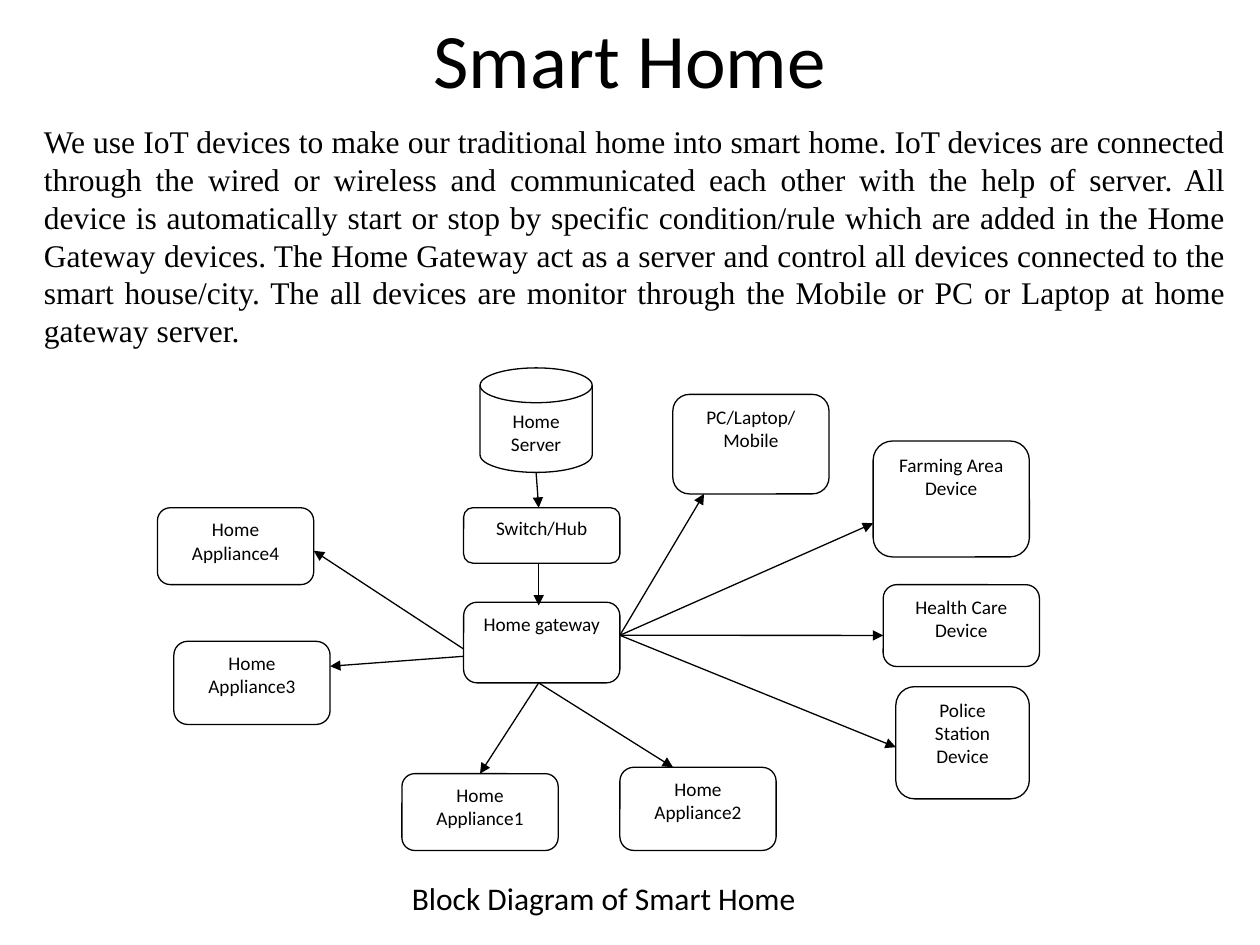
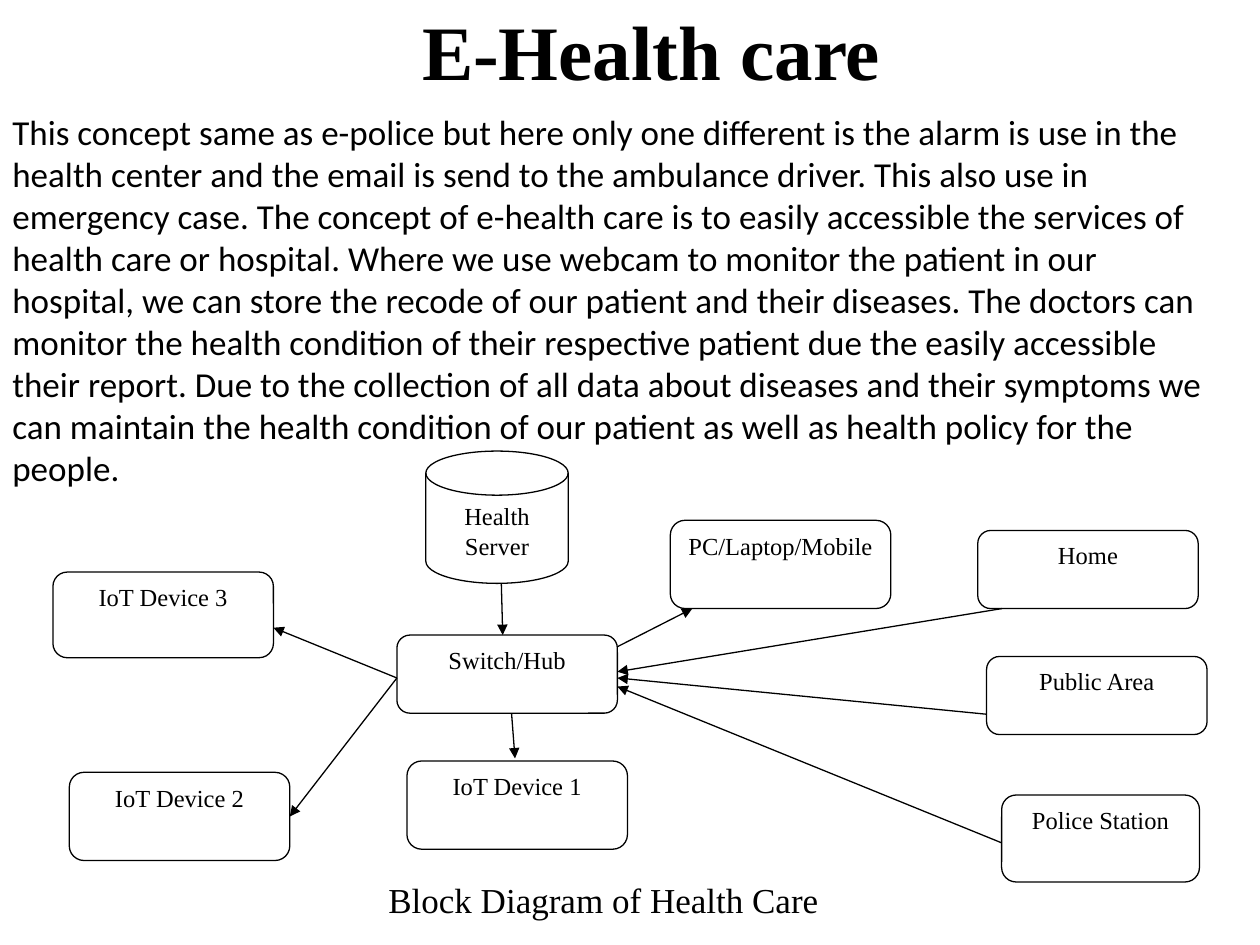
from dataclasses import dataclass

from lxml.etree import SubElement
from pptx import Presentation
from pptx.dml.color import RGBColor
from pptx.enum.shapes import MSO_CONNECTOR, MSO_SHAPE
from pptx.enum.text import MSO_ANCHOR as Anchor, MSO_AUTO_SIZE as AutoSize, PP_ALIGN as Align
from pptx.oxml.ns import qn
from pptx.util import Inches, Pt

WIDTH, HEIGHT = Inches(10), Inches(7.5)
COLUMNS, ROWS = 100, 75


@dataclass(frozen=True)
class Theme:
    ink: RGBColor = RGBColor(0, 0, 0)
    paper: RGBColor = RGBColor(255, 255, 255)
    sans: str = "Calibri"
    serif: str = "Times New Roman"
    title: int = 44
    body: int = 20
    body_small: int = 18
    label: int = 14
    label_small: int = 11
    line: float = 0.75
    corner: float = 0.167
    label_gap: int = 10


THEME = Theme()


@dataclass(frozen=True)
class Box:
    """A rectangle in columns and rows of the slide grid."""
    col: float
    row: float
    cols: float
    rows: float

    def emu(self) -> tuple[int, int, int, int]:
        return *to_emu(self.col, self.row), *to_emu(self.cols, self.rows)

    def point(self, across: float, down: float) -> tuple[int, int]:
        """The point at these shares of the box's width and height."""
        return to_emu(self.col + across * self.cols, self.row + down * self.rows)


@dataclass(frozen=True)
class Style:
    font: str
    size: int
    align: Align = Align.LEFT
    bold: bool = False


@dataclass(frozen=True)
class Caption:
    text: str
    box: Box
    style: Style
    anchor: Anchor = Anchor.TOP
    wrap: bool = True
    grow: bool = True


@dataclass(frozen=True)
class Node:
    text: str
    box: Box
    kind: MSO_SHAPE = MSO_SHAPE.ROUNDED_RECTANGLE


@dataclass(frozen=True)
class Link:
    """An arrow between two nodes; each end is a share of its node's box."""
    start: str
    leave: tuple[float, float]
    end: str
    arrive: tuple[float, float]


@dataclass(frozen=True)
class DiagramSlide:
    captions: list[Caption]
    label: Style
    nodes: dict[str, Node]
    links: list[Link]


def to_emu(col: float, row: float) -> tuple[int, int]:
    return round(col * WIDTH / COLUMNS), round(row * HEIGHT / ROWS)


def write(tf, text: str, style: Style) -> None:
    tf.text = text
    p = tf.paragraphs[0]
    p.alignment = style.align
    font = p.runs[0].font
    font.name, font.size, font.bold = style.font, Pt(style.size), style.bold
    font.color.rgb = THEME.ink


def add_caption(s, caption: Caption) -> None:
    tf = s.shapes.add_textbox(*caption.box.emu()).text_frame
    tf.word_wrap = caption.wrap
    tf.vertical_anchor = caption.anchor
    tf.auto_size = AutoSize.SHAPE_TO_FIT_TEXT if caption.grow else AutoSize.NONE
    write(tf, caption.text, caption.style)


def add_node(group, node: Node, label: Style) -> None:
    sp = group.shapes.add_shape(node.kind, *node.box.emu())
    if node.kind == MSO_SHAPE.ROUNDED_RECTANGLE:
        sp.adjustments[0] = THEME.corner
    sp.shadow.inherit = False
    sp.fill.solid()
    sp.fill.fore_color.rgb = THEME.paper
    sp.line.color.rgb = THEME.ink
    sp.line.width = Pt(THEME.line)
    tf = sp.text_frame
    tf.word_wrap = True
    tf.vertical_anchor = Anchor.TOP
    write(tf, node.text, label)
    tf.paragraphs[0].space_after = Pt(THEME.label_gap)


def add_link(group, link: Link, nodes: dict[str, Node]) -> None:
    start = nodes[link.start].box.point(*link.leave)
    end = nodes[link.end].box.point(*link.arrive)
    line = group.shapes.add_connector(MSO_CONNECTOR.STRAIGHT, *start, *end)
    line.line.color.rgb = THEME.ink
    line.line.width = Pt(THEME.line)
    sp_pr = line._element.spPr
    SubElement(sp_pr.find(qn("a:ln")), qn("a:tailEnd"), type="triangle")
    SubElement(sp_pr, qn("a:effectLst"))


def add_diagram_slide(prs, content: DiagramSlide) -> None:
    s = prs.slides.add_slide(prs.slide_layouts[6])
    s.background.fill.solid()
    s.background.fill.fore_color.rgb = THEME.paper
    for caption in content.captions:
        add_caption(s, caption)
    group = s.shapes.add_group_shape()
    for node in content.nodes.values():
        add_node(group, node, content.label)
    for link in content.links:
        add_link(group, link, content.nodes)


def title(text: str, box: Box, font: str, bold: bool = False) -> Caption:
    style = Style(font, THEME.title, Align.CENTER, bold)
    return Caption(text, box, style, Anchor.MIDDLE, grow=False)


DISK = MSO_SHAPE.FLOWCHART_MAGNETIC_DISK
HOME_W, HEALTH_W = 12.4, 17.5
GATEWAY_RIGHT = (1, 0.41)
HUB_LEFT = (0, 0.55)

SMART_HOME = DiagramSlide(
    captions=[
        title("Smart Home", Box(5, 0, 90, 9.2), THEME.sans),
        Caption(
            "We use IoT devices to make our traditional home into smart home. IoT devices are "
            "connected through the wired or wireless and communicated each other with the help of "
            "server. All device is automatically start or stop by specific condition/rule which "
            "are added in the Home Gateway devices. The Home Gateway act as a server and control "
            "all devices connected to the smart house/city. The all devices are monitor through "
            "the Mobile or PC or Laptop at home gateway server.",
            Box(2.5, 9.2, 95.8, 19.2), Style(THEME.serif, THEME.body_small, Align.JUSTIFY)),
        Caption("Block Diagram of Smart Home", Box(31.7, 69.3, 32.8, 4),
                Style(THEME.sans, THEME.body_small), wrap=False),
    ],
    label=Style(THEME.sans, THEME.label_small, Align.CENTER),
    nodes={
        "server": Node("Home Server", Box(38.1, 29.2, 8.9, 8.3), DISK),
        "hub": Node("Switch/Hub", Box(36.8, 40.3, HOME_W, 4.4)),
        "gateway": Node("Home gateway", Box(36.8, 47.8, HOME_W, 6.4)),
        "appliance1": Node("Home Appliance1", Box(31.9, 61.4, HOME_W, 6.1)),
        "appliance2": Node("Home Appliance2", Box(49.2, 60.9, HOME_W, 6.6)),
        "pc": Node("PC/Laptop/Mobile", Box(53.4, 31.3, HOME_W, 7.9)),
        "farming": Node("Farming Area Device", Box(69.3, 35, HOME_W, 9.2)),
        "health": Node("Health Care Device", Box(70.1, 46.4, HOME_W, 6.5)),
        "appliance4": Node("Home Appliance4", Box(12.5, 40.3, HOME_W, 6.1)),
        "appliance3": Node("Home Appliance3", Box(13.8, 50.9, HOME_W, 6.6)),
        "police": Node("Police Station Device", Box(71.1, 54.5, 10.6, 8.9)),
    },
    links=[
        Link("server", (0.5, 1), "hub", (0.48, 0)),
        Link("hub", (0.48, 1), "gateway", (0.48, 0.04)),
        Link("gateway", (0.48, 1), "appliance1", (0.5, 0)),
        Link("gateway", (0.48, 1), "appliance2", (0.34, 0)),
        Link("gateway", (0, 0.67), "appliance3", (1, 0.3)),
        Link("gateway", (0, 0.58), "appliance4", (1, 0.56)),
        Link("gateway", GATEWAY_RIGHT, "pc", (0.2, 1)),
        Link("gateway", GATEWAY_RIGHT, "farming", (0, 0.71)),
        Link("gateway", GATEWAY_RIGHT, "health", (0, 0.62)),
        Link("gateway", GATEWAY_RIGHT, "police", (0, 0.54)),
    ],
)

E_HEALTH = DiagramSlide(
    captions=[
        title("E-Health care", Box(6.7, -1.7, 90, 11.3), THEME.serif, bold=True),
        Caption(
            "This concept same as e-police but here only one different is the alarm is use in the "
            "health center and the email is send to the ambulance driver. This also use in "
            "emergency case. The concept of e-health care is to easily accessible the services of "
            "health care or hospital. Where we use webcam to monitor the patient in our hospital, "
            "we can store the recode of our patient and their diseases. The doctors can monitor "
            "the health condition of their respective patient due the easily accessible their "
            "report. Due to the collection of all data about diseases and their symptoms we can "
            "maintain the health condition of our patient as well as health policy for the people.",
            Box(0, 8.3, 98.3, 31.3), Style(THEME.sans, THEME.body)),
        Caption("Block Diagram of Health Care", Box(23.3, 69.2, 49.2, 4.4),
                Style(THEME.serif, THEME.body, Align.CENTER)),
    ],
    label=Style(THEME.serif, THEME.label, Align.CENTER),
    nodes={
        "server": Node("Health Server", Box(33.8, 35.8, 11.3, 10.5), DISK),
        "hub": Node("Switch/Hub", Box(31.5, 50.4, HEALTH_W, 6.2)),
        "device1": Node("IoT Device 1", Box(32.3, 60.4, HEALTH_W, 7)),
        "device3": Node("IoT Device 3", Box(4.2, 45.4, HEALTH_W, 6.8)),
        "public": Node("Public Area", Box(78.3, 52.1, HEALTH_W, 6.2)),
        "pc": Node("PC/Laptop/Mobile", Box(53.2, 41.3, HEALTH_W, 7)),
        "home": Node("Home", Box(77.6, 42.1, HEALTH_W, 6.2)),
        "police": Node("Police Station", Box(79.5, 63.1, 15.7, 6.9)),
        "device2": Node("IoT Device 2", Box(5.5, 61.3, HEALTH_W, 7)),
    },
    links=[
        Link("server", (0.53, 1), "hub", (0.48, 0)),
        Link("hub", (0.52, 1), "device1", (0.49, -0.03)),
        Link("hub", HUB_LEFT, "device3", (1, 0.65)),
        Link("hub", HUB_LEFT, "device2", (1, 0.5)),
        Link("hub", (1, 0.15), "pc", (0.1, 1)),
        Link("home", (0.11, 1), "hub", (1, 0.47)),
        Link("public", (0, 0.74), "hub", (1, 0.55)),
        Link("police", (0, 0.55), "hub", (1, 0.66)),
    ],
)


def main() -> None:
    prs = Presentation()
    prs.slide_width, prs.slide_height = WIDTH, HEIGHT
    for content in (SMART_HOME, E_HEALTH):
        add_diagram_slide(prs, content)
    prs.save("out.pptx")


if __name__ == "__main__":
    main()
